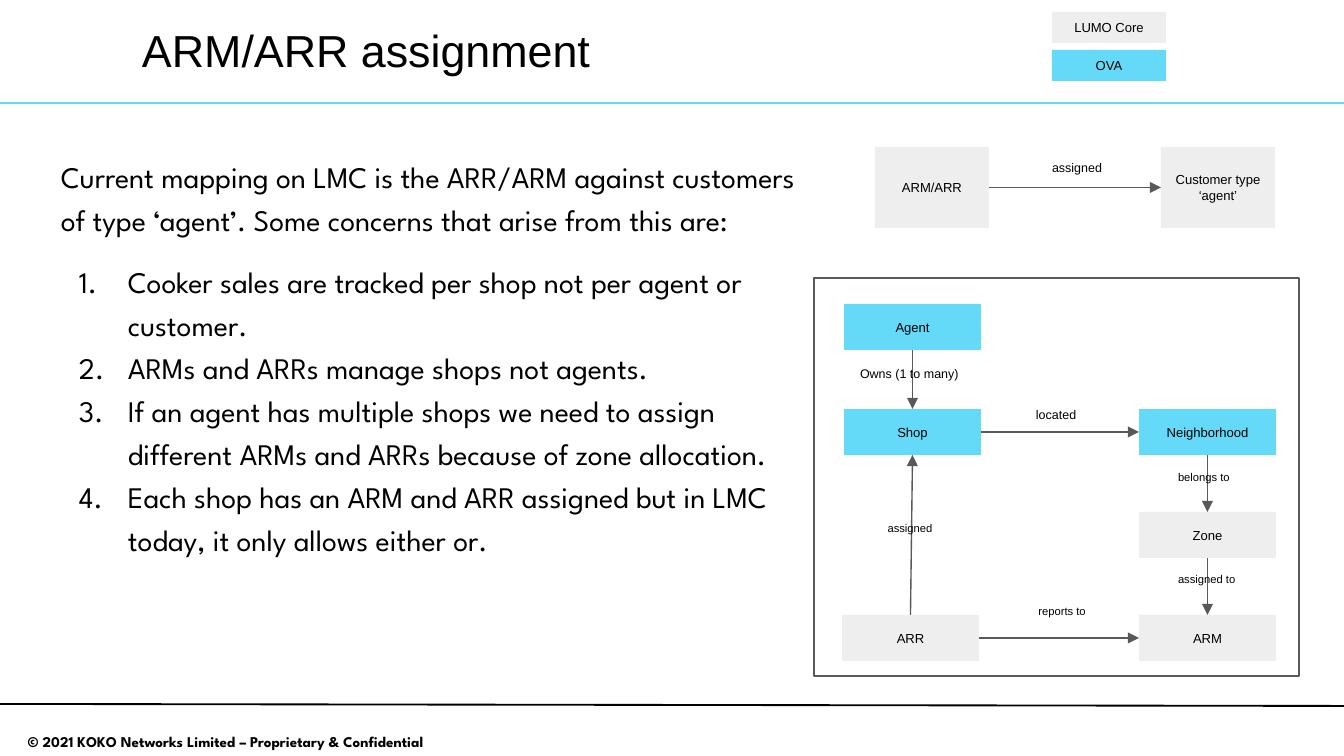
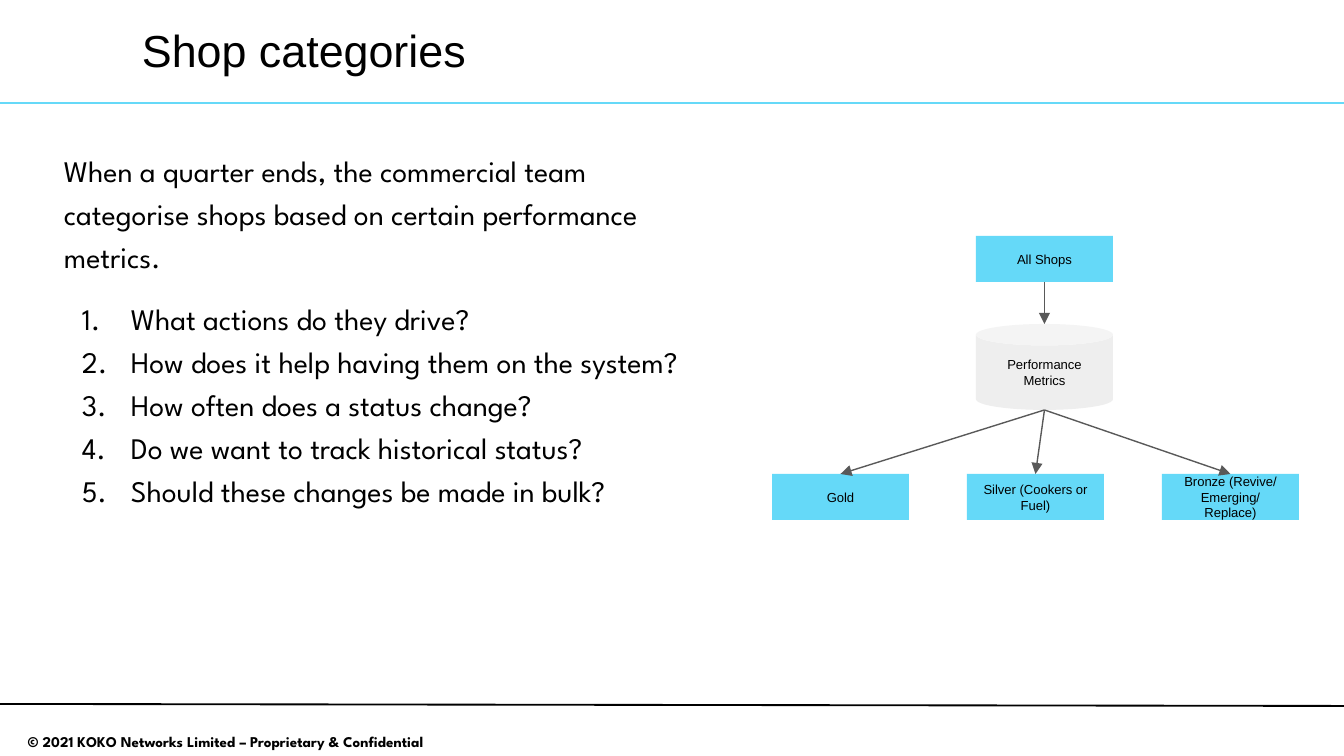
from lxml import etree
from pptx import Presentation
from pptx.dml.color import RGBColor
from pptx.enum.shapes import MSO_CONNECTOR, MSO_SHAPE
from pptx.enum.text import MSO_ANCHOR, PP_ALIGN
from pptx.oxml.ns import qn
from pptx.util import Pt

RECT, CAN = MSO_SHAPE.RECTANGLE, MSO_SHAPE.CAN
STRAIGHT = MSO_CONNECTOR.STRAIGHT
LEFT, CENTER = PP_ALIGN.LEFT, PP_ALIGN.CENTER
TOP, MIDDLE = MSO_ANCHOR.TOP, MSO_ANCHOR.MIDDLE

BLACK = RGBColor(0x00, 0x00, 0x00)
WHITE = RGBColor(0xFF, 0xFF, 0xFF)
GREY = RGBColor(0xEE, 0xEE, 0xEE)
DARK = RGBColor(0x59, 0x59, 0x59)
CYAN = RGBColor(0x65, 0xD9, 0xF8)

SANS, SPARTAN = "Arial", "League Spartan"
SLIDE_W, SLIDE_H = 1344, 756
NODE_W, NODE_H = 137, 46
WIDE_INSET, SLIM_INSET = (13, 13), (10, 5)

# Connection sites: site number, then the fraction of width and height
RECT_SITES = {"top": (0, 0.5, 0), "left": (1, 0, 0.5),
              "bottom": (2, 0.5, 1), "right": (3, 1, 0.5)}
CAN_SITES = {"top": (1, 0.5, 0), "bottom": (3, 0.5, 1)}


def px(length):
    return round(length * 9144000 / SLIDE_W)


# Text
def write(shape, paragraphs, size=7, font=SANS, bold=False, align=LEFT,
          anchor=TOP, inset=WIDE_INSET, spacing=None, numbered_from=None):
    """Fill a shape with text; paragraphs from numbered_from on form a list."""
    frame = shape.text_frame
    frame.word_wrap = True
    frame.vertical_anchor = anchor
    frame.margin_left = frame.margin_right = px(inset[0])
    frame.margin_top = frame.margin_bottom = px(inset[1])
    for index, text in enumerate(paragraphs):
        paragraph = frame.paragraphs[0] if index == 0 else frame.add_paragraph()
        paragraph.alignment = align
        if spacing:
            paragraph.line_spacing = spacing
        if numbered_from is not None and index >= numbered_from:
            if index == numbered_from:
                paragraph.space_before = Pt(10)
            number(paragraph)
        run = paragraph.add_run()
        run.text = text
        run.font.name, run.font.size, run.font.bold = font, Pt(size), bold
        run.font.color.rgb = BLACK


def number(paragraph):
    props = paragraph._p.get_or_add_pPr()
    props.set("marL", str(px(67)))
    props.set("indent", str(px(-49)))
    colour = etree.SubElement(props, qn("a:buClr"))
    etree.SubElement(colour, qn("a:srgbClr"), val=str(BLACK))
    etree.SubElement(props, qn("a:buAutoNum"), type="arabicPeriod")


def text_box(slide, box, paragraphs, **text_format):
    shape = slide.shapes.add_textbox(*map(px, box))
    write(shape, paragraphs, **text_format)


def label(slide, x, y, width, text, **text_format):
    text_box(slide, (x, y, width, 40), [text], **text_format)


def body(slide, box, paragraphs, inset):
    text_box(slide, box, paragraphs, size=16, font=SPARTAN, spacing=1.2,
             inset=inset, numbered_from=1)


# Shapes and lines
def node(slide, x, y, text, fill=CYAN, width=NODE_W, height=NODE_H, kind=RECT):
    shape = slide.shapes.add_shape(kind, px(x), px(y), px(width), px(height))
    shape.shadow.inherit = False
    shape.fill.solid()
    shape.fill.fore_color.rgb = fill
    shape.line.fill.background()
    if text:
        write(shape, [text], align=CENTER, anchor=MIDDLE)
    return shape


def line(slide, start, end, colour, weight):
    connector = slide.shapes.add_connector(STRAIGHT, *start, *end)
    connector.line.color.rgb = colour
    connector.line.width = Pt(weight)
    etree.SubElement(connector._element.spPr, qn("a:effectLst"))
    return connector


def site(shape, side):
    sites = CAN_SITES if shape.auto_shape_type == CAN else RECT_SITES
    index, across, down = sites[side]
    return index, (round(shape.left + shape.width * across),
                   round(shape.top + shape.height * down))


def arrow(slide, source, source_side, target, target_side):
    start_site, start = site(source, source_side)
    end_site, end = site(target, target_side)
    connector = line(slide, start, end, DARK, 0.75)
    etree.SubElement(connector.line._get_or_add_ln(), qn("a:tailEnd"),
                     type="triangle", w="med", len="med")
    connector.begin_connect(source, start_site)
    connector.end_connect(target, end_site)
    connector.begin_x, connector.begin_y = start
    connector.end_x, connector.end_y = end


# Title, rules and footer shared by the slides
def new_slide(deck, title):
    slide = deck.slides.add_slide(deck.slide_layouts[6])
    line(slide, (0, px(103)), (px(SLIDE_W), px(103)), CYAN, 1.5)
    text_box(slide, (0, 728, 452, 28),
             ["© 2021 KOKO Networks Limited – Proprietary & Confidential"],
             size=8, font=SPARTAN, bold=True, align=CENTER, inset=SLIM_INSET)
    line(slide, (0, px(704)), (px(SLIDE_W), px(706)), BLACK, 1)
    text_box(slide, (132, 10, 1161, 86), [title], size=24, anchor=MIDDLE,
             inset=SLIM_INSET, spacing=0.9)
    return slide


def assignment_slide(deck):
    slide = new_slide(deck, "ARM/ARR assignment")
    body(slide, (51, 147, 774, 535), [
        "Current mapping on LMC is the ARR/ARM against customers of type "
        "‘agent’. Some concerns that arise from this are:",
        "Cooker sales are tracked per shop not per agent or customer.",
        "ARMs and ARRs manage shops not agents.",
        "If an agent has multiple shops we need to assign different ARMs and "
        "ARRs because of zone allocation.",
        "Each shop has an ARM and ARR assigned but in LMC today, it only "
        "allows either or.",
    ], SLIM_INSET)

    # Legend of systems
    node(slide, 1052, 12, "LUMO Core", GREY, 114, 31)
    node(slide, 1052, 50, "OVA", CYAN, 114, 31)

    # Current mapping
    manager = node(slide, 875, 147, "ARM/ARR", GREY, 114, 81)
    customer = node(slide, 1161, 147, "Customer type ‘agent’", GREY, 114, 81)
    arrow(slide, manager, "right", customer, "left")
    label(slide, 1039, 157, 128, "assigned", size=6.7, spacing=0.8)

    # Proposed mapping
    frame = node(slide, 814, 278, "", WHITE, 485, 398)
    frame.line.color.rgb = DARK
    frame.line.width = Pt(0.75)
    agent = node(slide, 844, 304, "Agent")
    shop = node(slide, 844, 409, "Shop")
    neighborhood = node(slide, 1139, 409, "Neighborhood")
    zone = node(slide, 1139, 512, "Zone", GREY)
    arm = node(slide, 1139, 615, "ARM", GREY)
    arr = node(slide, 842, 615, "ARR", GREY)

    arrow(slide, agent, "bottom", shop, "top")
    arrow(slide, shop, "right", neighborhood, "left")
    arrow(slide, neighborhood, "bottom", zone, "top")
    arrow(slide, zone, "bottom", arm, "top")
    arrow(slide, arr, "right", arm, "left")
    arrow(slide, arr, "top", shop, "bottom")

    label(slide, 847, 363, 128, "Owns (1 to many)", size=6.7, spacing=0.8)
    label(slide, 1023, 404, 75, "located", size=6.7, spacing=0.8)
    label(slide, 1165, 464, 106, "belongs to", size=6)
    label(slide, 1165, 566, 106, "assigned to", size=6)
    label(slide, 1009, 598, 106, "reports to", size=6, align=CENTER)
    label(slide, 857, 515, 106, "assigned", size=6, align=CENTER)


def categories_slide(deck):
    slide = new_slide(deck, "Shop categories")
    body(slide, (51, 133, 650, 469), [
        "When a quarter ends, the commercial team categorise shops based on "
        "certain performance metrics.",
        "What actions do they drive?",
        "How does it help having them on the system?",
        "How often does a status change?",
        "Do we want to track historical status?",
        "Should these changes be made in bulk?",
    ], WIDE_INSET)

    # Shops sorted by metrics into categories
    shops = node(slide, 976, 236, "All Shops")
    metrics = node(slide, 976, 324, "Performance Metrics", GREY, height=86,
                   kind=CAN)
    arrow(slide, shops, "bottom", metrics, "top")
    categories = ["Gold", "Silver (Cookers or Fuel)",
                  "Bronze (Revive/ Emerging/ Replace)"]
    for column, name in enumerate(categories):
        category = node(slide, 772 + 195 * column, 474, name)
        arrow(slide, metrics, "bottom", category, "top")


def main():
    deck = Presentation()
    deck.slide_width, deck.slide_height = px(SLIDE_W), px(SLIDE_H)
    assignment_slide(deck)
    categories_slide(deck)
    deck.save("out.pptx")


if __name__ == "__main__":
    main()
